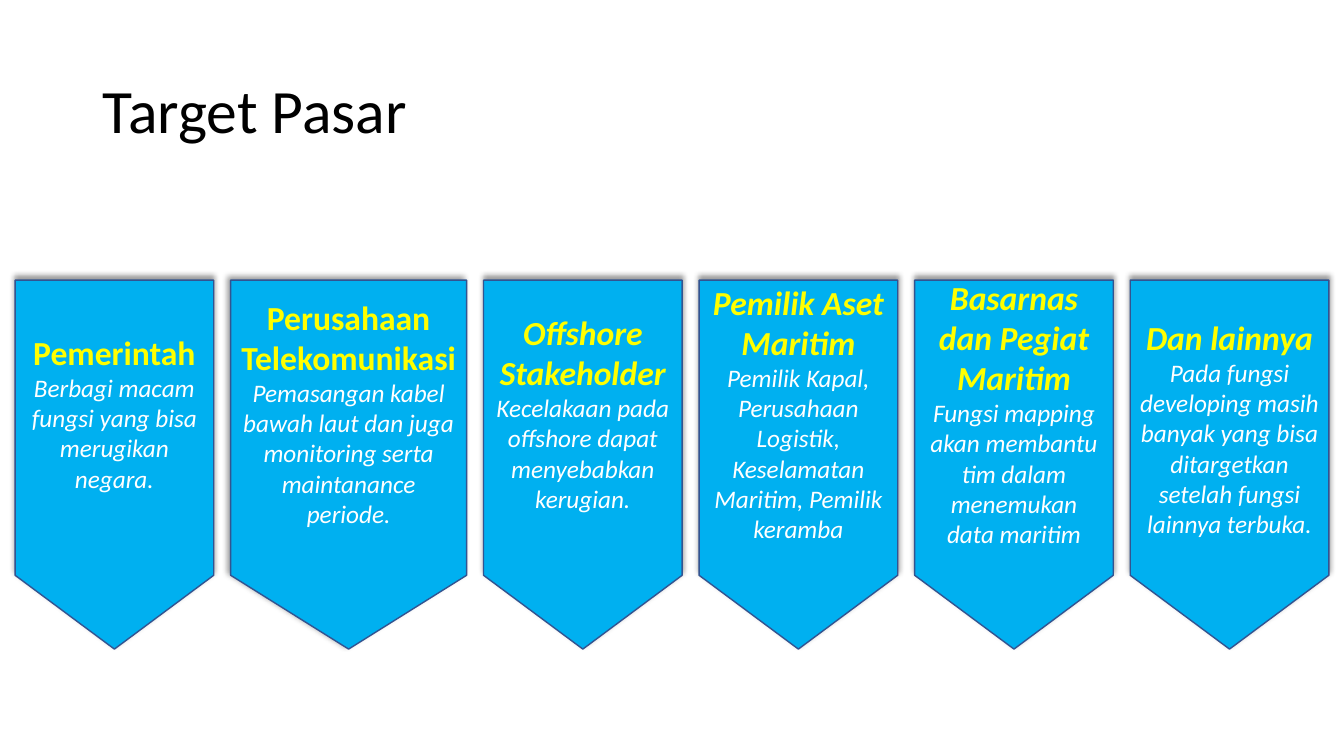
from lxml import etree
from pptx import Presentation
from pptx.dml.color import RGBColor
from pptx.enum.shapes import MSO_SHAPE as Shape
from pptx.enum.text import MSO_ANCHOR as Anchor, PP_ALIGN as Align
from pptx.oxml import parse_xml
from pptx.oxml.ns import nsdecls
from pptx.util import Inches, Pt

TITLE = "Target Pasar"
# heading, heading in italics, description, width, shadow angle, space kept below the text
MARKETS = [
    ("Pemerintah", False, "Berbagi macam fungsi yang bisa merugikan negara.", 1.97, 270, 0.3),
    ("Perusahaan Telekomunikasi", False,
     "Pemasangan kabel bawah laut dan juga monitoring serta maintanance periode.", 2.34, 225, 0.3),
    ("Offshore Stakeholder", True,
     "Kecelakaan pada offshore dapat menyebabkan kerugian.", 1.97, 270, 0.3),
    ("Pemilik Aset Maritim", True,
     "Pemilik Kapal, Perusahaan Logistik, Keselamatan Maritim, Pemilik keramba", 1.97, 270, 0.3),
    ("Basarnas dan Pegiat Maritim", True,
     "Fungsi mapping akan membantu tim dalam menemukan data maritim", 1.97, 270, 0.3),
    ("Dan lainnya", True,
     "Pada fungsi developing masih banyak yang bisa ditargetkan setelah fungsi lainnya terbuka.",
     1.97, 270, 0),
]
FONT = "Calibri"
BLACK, WHITE, YELLOW, BLUE, NAVY = "000000", "FFFFFF", "FFFF00", "00B0F0", "325491"
LEFT, TOP, HEIGHT, SLIDE_WIDTH = 0.15, 2.78, 3.66, 13.33
GAP = (SLIDE_WIDTH - 2 * LEFT - sum(market[3] for market in MARKETS)) / (len(MARKETS) - 1)


def color(hex_code):
    return RGBColor.from_string(hex_code)


def style(paragraph, size, hex_code, bold=False, italic=False):
    font = paragraph.font
    font.name, font.size, font.bold, font.italic = FONT, Pt(size), bold, italic
    font.color.rgb = color(hex_code)


def add_shadow(shape, angle):
    shape.shadow.inherit = False
    effects = shape._element.spPr.find("{*}effectLst")
    effects.append(parse_xml(
        f'<a:outerShdw {nsdecls("a")} blurRad="{Pt(4)}" dist="{Pt(3)}" dir="{angle * 60000}" '
        f'rotWithShape="0"><a:srgbClr val="{BLACK}"><a:alpha val="40000"/></a:srgbClr>'
        '</a:outerShdw>'))


def add_banner(slide, left, heading, slanted, description, width, angle, space_below):
    banner = slide.shapes.add_shape(Shape.FLOWCHART_OFFPAGE_CONNECTOR, Inches(left), Inches(TOP),
                                    Inches(width), Inches(HEIGHT))
    banner.fill.solid()
    banner.fill.fore_color.rgb = color(BLUE)
    banner.line.color.rgb = color(NAVY)
    banner.line.width = Pt(1)
    add_shadow(banner, angle)

    frame = banner.text_frame
    frame.word_wrap = True
    frame.vertical_anchor = Anchor.MIDDLE
    frame.margin_bottom = Inches(0.05 + space_below)
    frame.text = f"{heading}\n{description}"
    for paragraph in frame.paragraphs:
        paragraph.alignment = Align.CENTER
    style(frame.paragraphs[0], 24, YELLOW, bold=True, italic=slanted)
    style(frame.paragraphs[1], 18, WHITE, italic=True)


def main():
    deck = Presentation()
    deck.slide_width, deck.slide_height = Inches(SLIDE_WIDTH), Inches(7.5)
    slide = deck.slides.add_slide(deck.slide_layouts[5])

    # Title
    title = slide.shapes.title
    title.left, title.top, title.width, title.height = map(Inches, (0.92, 0.4, 11.5, 1.45))
    title.text_frame.text = TITLE
    title.text_frame.vertical_anchor = Anchor.MIDDLE
    heading = title.text_frame.paragraphs[0]
    heading.alignment = Align.LEFT
    heading.line_spacing = 0.9
    style(heading, 44, BLACK)

    # Row of market banners
    left = LEFT
    for name, slanted, description, width, angle, space_below in MARKETS:
        add_banner(slide, left, name, slanted, description, width, angle, space_below)
        left += width + GAP

    deck.save("out.pptx")


if __name__ == "__main__":
    main()
